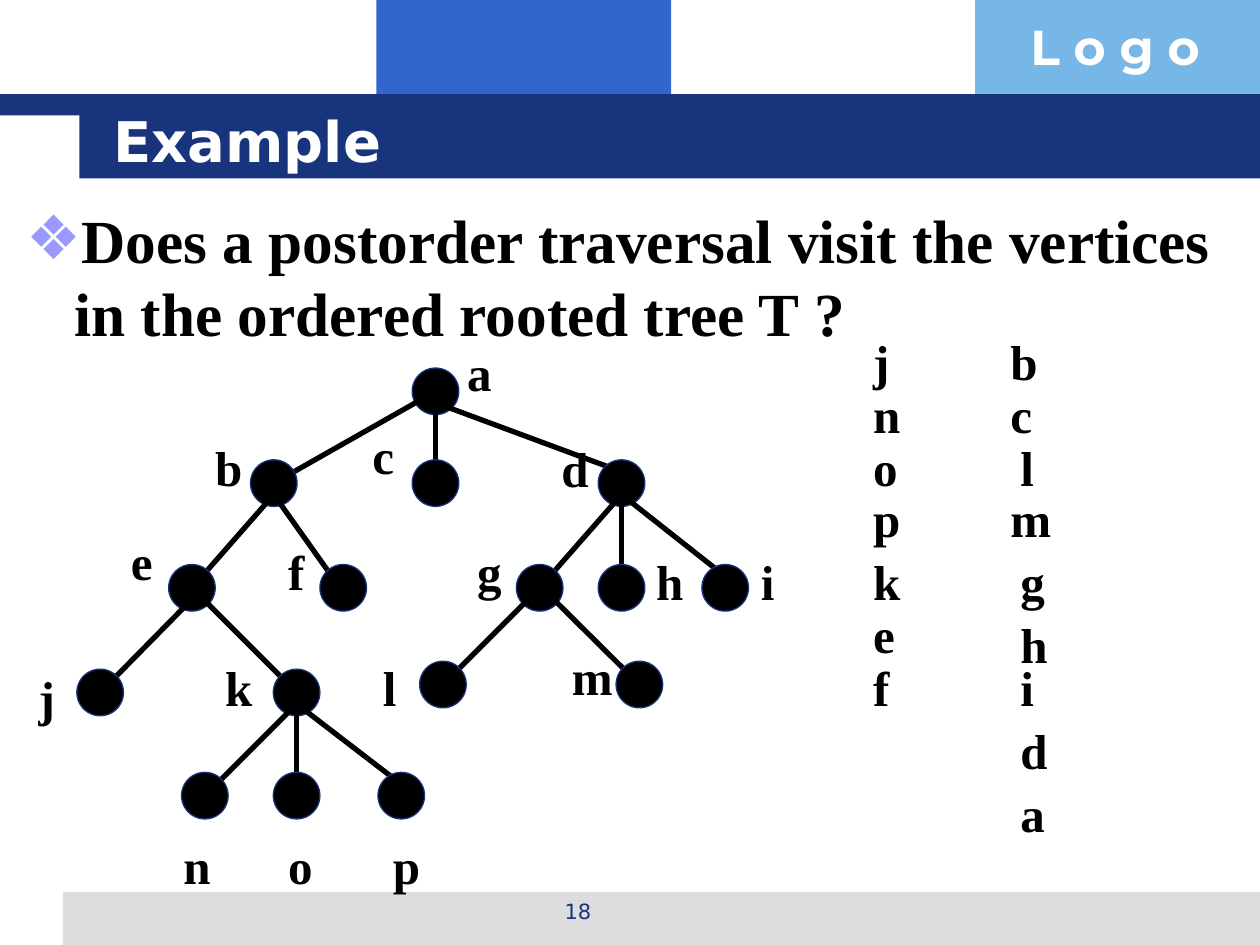
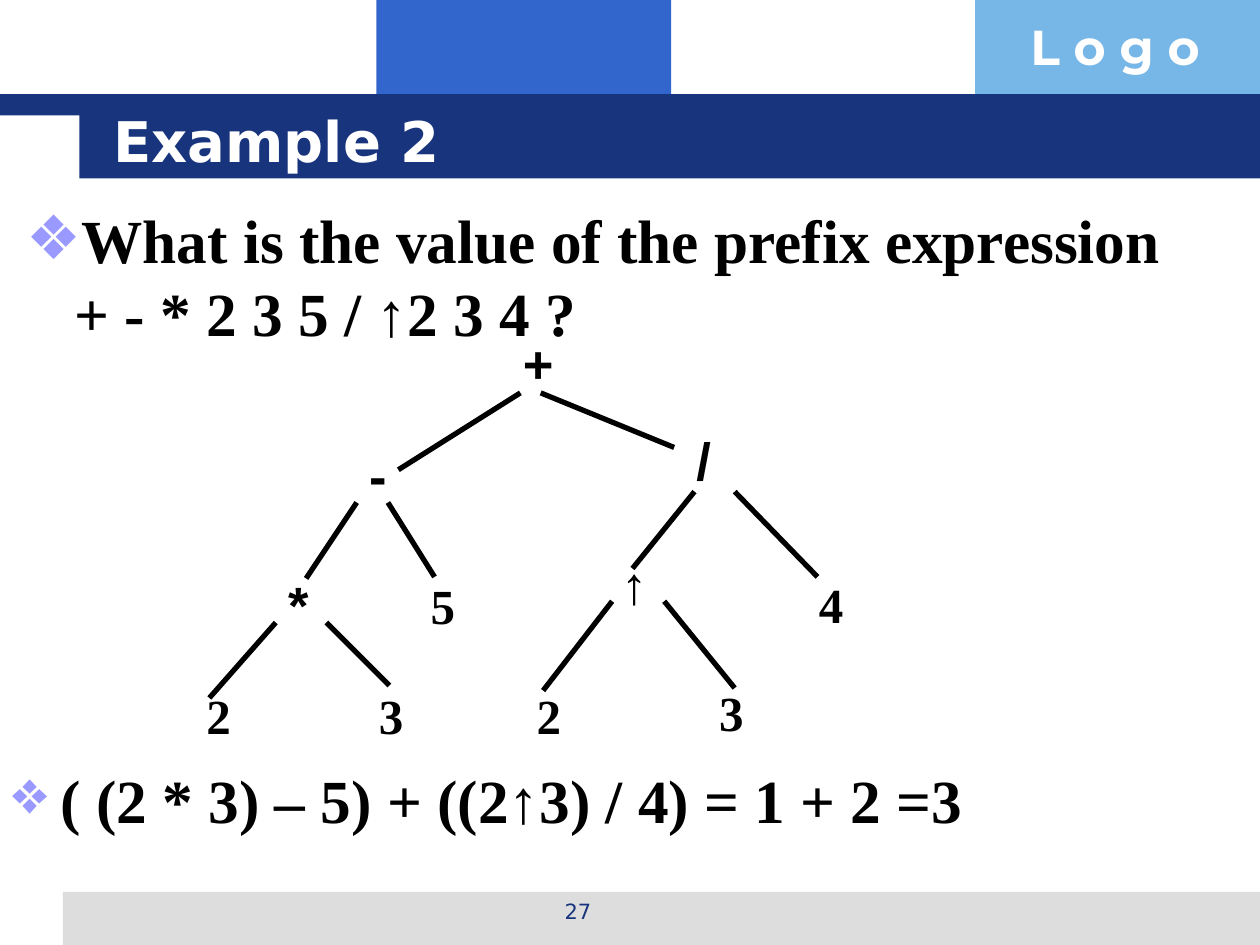
from lxml.etree import SubElement
from pptx import Presentation
from pptx.dml.color import RGBColor
from pptx.enum.shapes import MSO_CONNECTOR, MSO_SHAPE
from pptx.enum.text import MSO_ANCHOR, MSO_AUTO_SIZE, PP_ALIGN
from pptx.oxml.ns import qn
from pptx.util import Cm, Pt

# Colours and text formats
rgb = RGBColor.from_string
NAVY, BLUE, SKY, GREY = "17347D", "3366CC", "77B7E7", "DDDDDD"
WHITE, BLACK, LILAC = "FFFFFF", "000000", "9999FF"

LOGO = {"name": "Montserrat", "size": Pt(28), "bold": True, "color": WHITE}
TITLE = {"name": "DejaVu Sans", "size": Pt(32), "bold": True, "color": WHITE}
NUMBER = {"name": "DejaVu Sans", "size": Pt(12), "bold": False, "color": NAVY}
BODY = {"name": "Times New Roman", "size": Pt(35), "bold": True, "color": BLACK}
LABEL = {**BODY, "size": Pt(28)}
OPERATOR = {**BODY, "name": "Arial", "size": Pt(30)}

FIXED = {"word_wrap": True, "auto_size": MSO_AUTO_SIZE.NONE}
MIDDLE = {**FIXED, "vertical_anchor": MSO_ANCHOR.MIDDLE}
GROWING = {"word_wrap": True, "auto_size": MSO_AUTO_SIZE.SHAPE_TO_FIT_TEXT}
TIGHT = {**GROWING, "word_wrap": False}

# Width of a one-letter label, by letter
LABEL_WIDTH = {
    **dict.fromkeys("bdhknp", 1.07), **dict.fromkeys("ago2345", 1.02),
    **dict.fromkeys("ce", 0.94), **dict.fromkeys("fj", 0.84),
    **dict.fromkeys("il", 0.79),
    "m": 1.35, "+": 1.12, "-": 0.86, "/": 0.81, "*": 0.91, "↑": 1.57,
}
LABEL_HEIGHT, OPERATOR_HEIGHT = 1.45, 1.52


def write(box, text, look, frame_format, align=PP_ALIGN.LEFT, bullet=None):
    frame = box.text_frame
    for key, value in frame_format.items():
        setattr(frame, key, value)
    para = frame.paragraphs[0]
    para.text = text
    para.alignment = align
    for span in para.runs:
        for key, value in look.items():
            if key == "color":
                span.font.color.rgb = rgb(value)
            else:
                setattr(span.font, key, value)
    if bullet:
        properties = para._p.get_or_add_pPr()
        properties.set("marL", str(Cm(0.97)))
        properties.set("indent", str(-Cm(0.97)))
        space = SubElement(properties, qn("a:spcBef"))
        SubElement(space, qn("a:spcPct")).set("val", "20000")
        colour = SubElement(properties, qn("a:buClr"))
        SubElement(colour, qn("a:srgbClr")).set("val", LILAC)
        SubElement(properties, qn("a:buChar")).set("char", bullet)


def add_branch(shapes, *ends):
    branch = shapes.add_connector(MSO_CONNECTOR.STRAIGHT, *map(Cm, ends))
    branch.line.color.rgb = rgb(BLACK)
    branch.line.width = Pt(3)
    SubElement(branch.element.spPr, qn("a:effectLst"))


deck = Presentation()
deck.slide_width, deck.slide_height = Cm(25.4), Cm(19.05)
content_layout = deck.slide_layouts[1]

# Title, body, page number and body height of each slide
contents = [
    ("Example", "Does a postorder traversal visit the vertices "
     "in the ordered rooted tree T ?", "18", 13.41),
    ("Example 2", "What is the value of the prefix expression\n"
     "+ - * 2 3 5 / ↑2 3 4 ?", "27", 3.25),
]
pages = []
for title, question, number, body_height in contents:
    page = deck.slides.add_slide(content_layout)
    pages.append(page)
    title_box, body_box = page.placeholders
    places = [(title_box, (2.03, 2.03, 21.67, 1.57)),
              (body_box, (0.28, 3.94, 24.97, body_height))]
    for box, place in places:
        box.left, box.top, box.width, box.height = map(Cm, place)
    write(title_box, title, TITLE, MIDDLE)
    write(body_box, question, BODY, FIXED, bullet="❖")
    number_box = page.shapes.add_textbox(Cm(8.69), Cm(17.98), Cm(5.92), Cm(0.89))
    write(number_box, number, NUMBER, FIXED, PP_ALIGN.CENTER)
tree_page, expression_page = pages

# Bands and logo text, moved to the slide master
bands = [
    (BLUE, 7.59, 0, 5.94, 2.34),
    (SKY, 19.66, 0, 5.74, 2.34),
    (GREY, 1.27, 17.98, 24.13, 1.07),
    (NAVY, 0, 1.9, 25.4, 0.43),
    (NAVY, 1.6, 1.9, 23.8, 1.7),
]
shared = []
for colour, *place in bands:
    band = tree_page.shapes.add_shape(MSO_SHAPE.RECTANGLE, *map(Cm, place))
    band.shadow.inherit = False
    band.fill.solid()
    band.fill.fore_color.rgb = rgb(colour)
    band.line.fill.background()
    shared.append(band)
logo_box = tree_page.shapes.add_textbox(Cm(20.52), Cm(0.2), Cm(4.9), Cm(1.45))
write(logo_box, "L o g o", LOGO, GROWING)
shared.append(logo_box)
for shape_id, shape in enumerate(shared, start=20):
    shape.element.nvSpPr.cNvPr.set("id", str(shape_id))
    deck.slide_master.shapes.element.append(shape.element)

# Rooted tree: letter, parent, centre, label corner,
# then the nudges of the branch at the parent and at the node
NODE_SIZE, NUDGE = 0.94, 0.23
CENTRE, BELOW, ABOVE, UPPER_LEFT = (0, 0), (0, 1), (0, -1), (-1, -1)
nodes = [
    ("a", None, (8.78, 7.89), (9.17, 6.78), CENTRE, CENTRE),
    ("b", "a", (5.52, 9.74), (4.09, 8.69), CENTRE, CENTRE),
    ("c", "a", (8.78, 9.74), (7.26, 8.46), CENTRE, CENTRE),
    ("d", "a", (12.53, 9.74), (11.07, 8.71), BELOW, ABOVE),
    ("e", "b", (3.87, 11.85), (2.39, 10.59), BELOW, CENTRE),
    ("f", "b", (6.92, 11.85), (5.56, 10.8), BELOW, UPPER_LEFT),
    ("g", "d", (10.88, 11.85), (9.37, 10.8), BELOW, CENTRE),
    ("h", "d", (12.53, 11.85), (12.98, 11), BELOW, CENTRE),
    ("i", "d", (14.62, 11.85), (15.09, 11), BELOW, ABOVE),
    ("j", "e", (2.02, 13.96), (0.53, 13.34), BELOW, CENTRE),
    ("k", "e", (5.98, 13.96), (4.29, 13.13), (1, 1), UPPER_LEFT),
    ("l", "g", (8.93, 13.8), (7.47, 13.13), (-0.4, 0.4), CENTRE),
    ("m", "g", (12.89, 13.8), (11.28, 12.9), (0.6, 0.4), UPPER_LEFT),
    ("n", "k", (4.13, 16.04), (3.45, 16.71), BELOW, CENTRE),
    ("o", "k", (5.98, 16.04), (5.56, 16.71), BELOW, CENTRE),
    ("p", "k", (8.09, 16.04), (7.67, 16.71), BELOW, ABOVE),
]
centres = {letter: centre for letter, _, centre, *_ in nodes}
tree = tree_page.shapes.add_group_shape()
for letter, parent, (x, y), _, start, end in nodes:
    if parent:
        parent_x, parent_y = centres[parent]
        add_branch(tree.shapes,
                   parent_x + start[0] * NUDGE, parent_y + start[1] * NUDGE,
                   x + end[0] * NUDGE, y + end[1] * NUDGE)
    node = tree.shapes.add_shape(
        MSO_SHAPE.OVAL, Cm(x - NODE_SIZE / 2), Cm(y - NODE_SIZE / 2),
        Cm(NODE_SIZE), Cm(NODE_SIZE))
    node.shadow.inherit = False
    node.fill.solid()
    node.fill.fore_color.rgb = rgb(BLACK)
    node.line.color.rgb = rgb(NAVY)
    node.line.width = Pt(0.75)
for letter, _, _, corner, *_ in nodes:
    size = (LABEL_WIDTH[letter], LABEL_HEIGHT)
    label = tree_page.shapes.add_textbox(*map(Cm, corner + size))
    write(label, letter, LABEL, TIGHT)

# Postorder listing in two columns
row_tops = [6.55, 7.62, 8.69, 9.73, 11, 12.07, 13.13, 14.4, 15.67]
first_column = [(letter, 17.35, top) for letter, top in zip("jnopkef", row_tops)]
second_column = [
    (letter, 20.12 if letter in "bcm" else 20.32, 12.27 if letter == "h" else top)
    for letter, top in zip("bclmghida", row_tops)
]
for letter, left, top in first_column + second_column:
    entry = tree_page.shapes.add_textbox(Cm(left), Cm(top), Cm(1.07), Cm(LABEL_HEIGHT))
    write(entry, letter, LABEL, GROWING)

# Expression tree: branches, then operators and operands
branches = [
    (10.49, 7.92, 8.03, 9.47), (10.9, 7.92, 13.59, 9.02),
    (7.19, 10.13, 6.17, 11.66), (7.82, 10.13, 8.76, 11.63),
    (5.56, 12.55, 4.22, 14.07), (6.58, 12.55, 7.85, 13.82),
    (14, 9.91, 12.75, 11.46), (14.81, 9.91, 16.48, 11.63),
    (12.34, 12.12, 10.95, 13.92), (13.39, 12.12, 14.81, 13.87),
]
symbols = [
    ("+", 10.29, 6.55), ("-", 7.19, 8.81), ("/", 13.79, 8.51),
    ("*", 5.56, 11.4), ("5", 8.43, 11.48), ("↑", 12.27, 11),
    ("4", 16.26, 11.46), ("2", 3.91, 13.69), ("3", 7.39, 13.69),
    ("2", 10.57, 13.69), ("3", 14.25, 13.64),
]
expression = expression_page.shapes.add_group_shape()
for ends in branches:
    add_branch(expression.shapes, *ends)
for symbol, left, top in symbols:
    look, height = (LABEL, LABEL_HEIGHT) if symbol.isdigit() else (OPERATOR, OPERATOR_HEIGHT)
    box = expression.shapes.add_textbox(
        Cm(left), Cm(top), Cm(LABEL_WIDTH[symbol]), Cm(height))
    write(box, symbol, look, TIGHT)

# Value of the expression
answer = expression_page.shapes.add_textbox(Cm(0), Cm(15.24), Cm(24.97), Cm(3.25))
write(answer, "( (2 * 3) – 5) + ((2↑3) / 4) = 1 + 2 =3", BODY, FIXED, bullet="❖")

deck.save("out.pptx")
